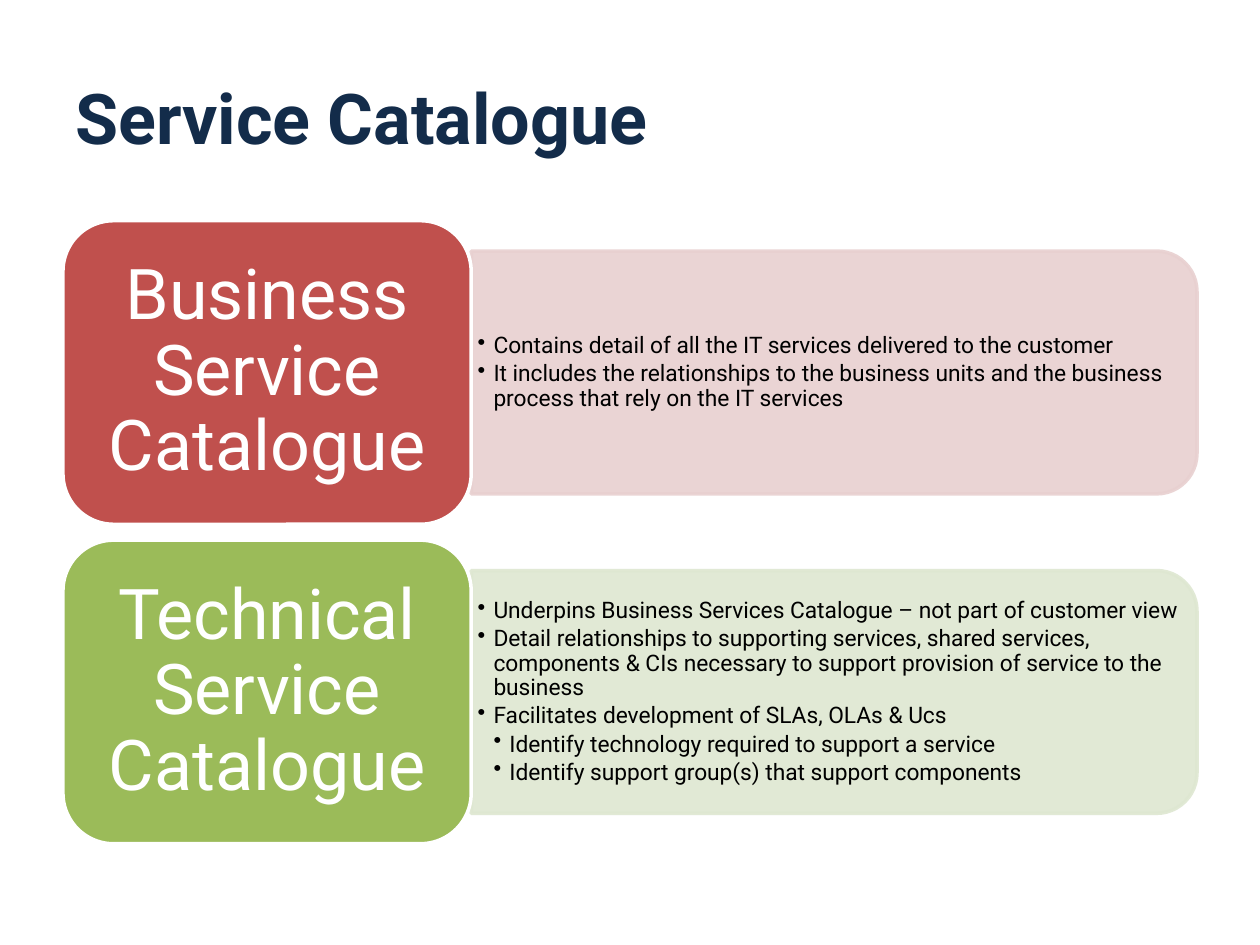
from lxml.etree import SubElement
from pptx import Presentation
from pptx.dml.color import RGBColor
from pptx.enum.shapes import MSO_SHAPE as Shape
from pptx.enum.text import MSO_ANCHOR as Anchor, PP_ALIGN as Align
from pptx.oxml.ns import qn
from pptx.util import Cm, Pt

NAVY = RGBColor(0x13, 0x2C, 0x4A)
BLACK = RGBColor(0, 0, 0)
WHITE = RGBColor(0xFF, 0xFF, 0xFF)
RED = RGBColor(0xC0, 0x50, 0x4D)
PALE_RED = RGBColor(0xE8, 0xD0, 0xD0)
GREEN = RGBColor(0x9B, 0xBB, 0x59)
PALE_GREEN = RGBColor(0xDE, 0xE7, 0xD1)

TITLE_FONT = {"name": "Roboto", "size": Pt(40), "bold": True}
LABEL_FONT = {"name": "Roboto", "size": Pt(40)}
DETAIL_FONT = {"name": "Roboto", "size": Pt(13)}
LABEL_FRAME = {"word_wrap": True, "vertical_anchor": Anchor.MIDDLE,
               "margin_left": Cm(0.43), "margin_right": Cm(0.43),
               "margin_top": Cm(0.2), "margin_bottom": Cm(0.2)}
DETAIL_FRAME = {"word_wrap": True, "vertical_anchor": Anchor.MIDDLE,
                "margin_left": Cm(0.13), "margin_right": Cm(0.13),
                "margin_top": Cm(0.08), "margin_bottom": Cm(0.08)}
HANGING = Cm(0.32)

# Each catalogue: label, strong colour, pale colour, (level, detail) pairs
CATALOGUES = [
    ("Business Service Catalogue", RED, PALE_RED, [
        (1, "Contains detail of all the IT services delivered to the customer"),
        (1, "It includes the relationships to the business units and the business "
            "process that rely on the IT services"),
    ]),
    ("Technical Service Catalogue", GREEN, PALE_GREEN, [
        (1, "Underpins Business Services Catalogue – not part of customer view"),
        (1, "Detail relationships to supporting services, shared services, components "
            "& CIs necessary to support provision of service to the business"),
        (1, "Facilitates development of SLAs, OLAs & Ucs"),
        (2, "Identify technology required to support a service"),
        (2, "Identify support group(s) that support components"),
    ]),
]


def apply_format(target, values):
    for name, value in values.items():
        setattr(target, name, value)


def write(paragraph, text, font, color):
    run = paragraph.add_run()
    run.text = text
    apply_format(run.font, font)
    run.font.color.rgb = color


def paint(shape, fill, line):
    shape.shadow.inherit = False
    shape.fill.solid()
    shape.fill.fore_color.rgb = fill
    shape.line.color.rgb = line
    shape.line.width = Pt(2)


def add_title(slide, left, top, width, height):
    frame = slide.shapes.add_textbox(left, top, width, height).text_frame
    apply_format(frame, {"word_wrap": True, "vertical_anchor": Anchor.MIDDLE})
    write(frame.paragraphs[0], "Service Catalogue", TITLE_FONT, NAVY)


def add_panel(slide, left, top, width, height, color):
    """Panel rounded on its right side: a top-rounded shape turned by 90 degrees."""
    panel = slide.shapes.add_shape(
        Shape.ROUND_2_SAME_RECTANGLE, left + (width - height) // 2,
        top + (height - width) // 2, height, width)
    panel.rotation = 90
    paint(panel, color, color)
    for solid_color in panel._element.spPr.iter(qn("a:srgbClr")):
        SubElement(solid_color, qn("a:alpha"), val="90000")


def add_details(slide, left, top, width, height, details):
    frame = slide.shapes.add_textbox(left, top, width, height).text_frame
    apply_format(frame, DETAIL_FRAME)
    for index, (level, detail) in enumerate(details):
        paragraph = frame.add_paragraph() if index else frame.paragraphs[0]
        properties = paragraph._p.get_or_add_pPr()
        properties.set("marL", str(HANGING * level))
        properties.set("indent", str(-HANGING))
        SubElement(properties, qn("a:buChar"), char="•")
        apply_format(paragraph, {"level": level, "line_spacing": 0.9,
                                 "space_after": Pt(2)})
        write(paragraph, detail, DETAIL_FONT, BLACK)


def add_label(slide, left, top, width, height, label, color):
    card = slide.shapes.add_shape(Shape.ROUNDED_RECTANGLE, left, top, width, height)
    paint(card, color, WHITE)
    apply_format(card.text_frame, LABEL_FRAME)
    paragraph = card.text_frame.paragraphs[0]
    apply_format(paragraph, {"alignment": Align.CENTER, "line_spacing": 0.9})
    write(paragraph, label, LABEL_FONT, WHITE)


def add_catalogue(slide, left, top, width, height, label, strong, pale, details):
    label_width = int(width * 0.36)
    panel_left = left + label_width
    panel_width = width - label_width
    panel_height = int(height * 0.8)
    panel_top = top + (height - panel_height) // 2
    inset = Cm(0.24)
    add_panel(slide, panel_left, panel_top, panel_width, panel_height, pale)
    add_details(slide, panel_left, panel_top + inset, panel_width - inset,
                panel_height - 2 * inset, details)
    add_label(slide, left, top, label_width, height, label, strong)


def main():
    deck = Presentation()
    deck.slide_width, deck.slide_height = Cm(25.4), Cm(19.05)
    slide = deck.slides.add_slide(deck.slide_layouts[6])
    left, width = Cm(1.27), Cm(22.86)
    add_title(slide, left, Cm(0.76), width, Cm(3.18))
    height, gap = Cm(6.12), Cm(0.32)
    for row, catalogue in enumerate(CATALOGUES):
        top = Cm(4.45) + row * (height + gap)
        add_catalogue(slide, left, top, width, height, *catalogue)
    deck.save("out.pptx")


if __name__ == "__main__":
    main()
